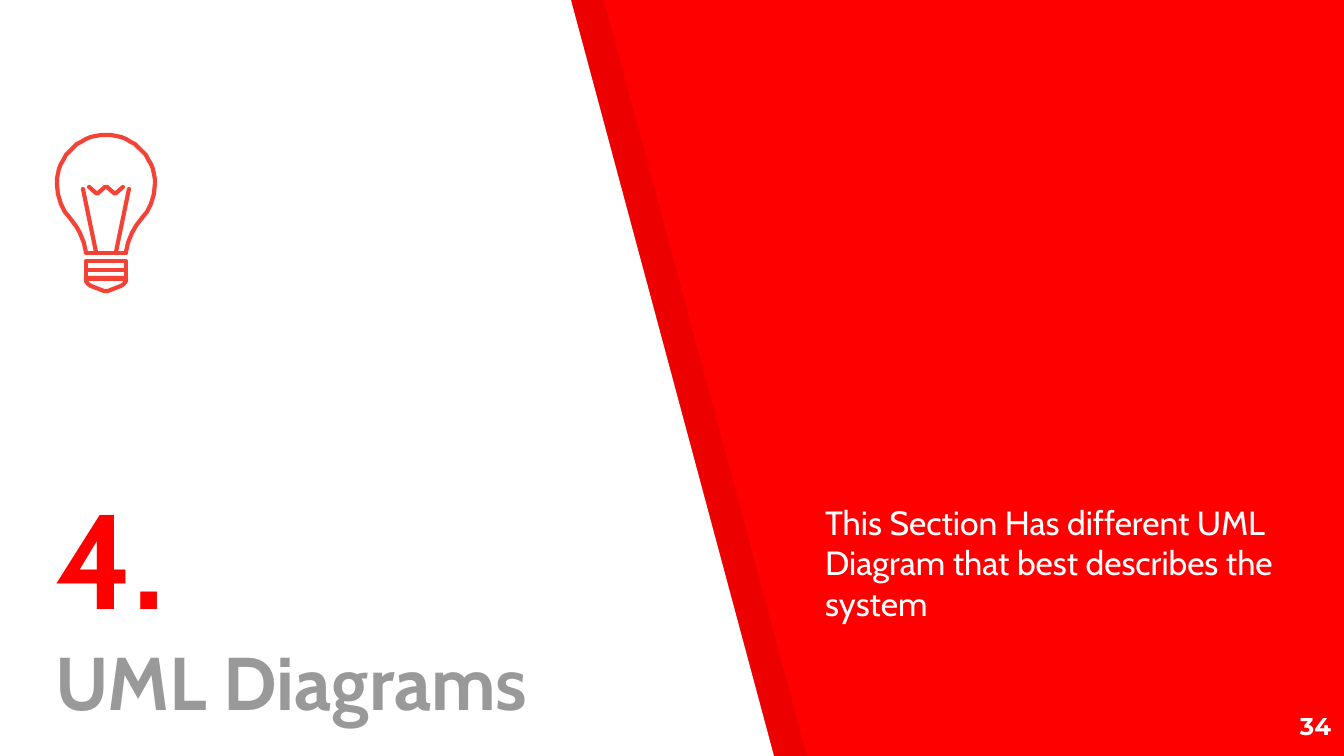
import math

import pptx
import pptx.dml.color
import pptx.enum.shapes
import pptx.enum.text
import pptx.oxml
import pptx.oxml.ns
import pptx.util

SLIDE_W, SLIDE_H = 1344, 756
EMU_PER_PX = 914400 * 10 / SLIDE_W
INSET = 13
RED, DEEP_ORANGE, GRAY, WHITE, BLACK = "FF0000", "F44336", "999999", "FFFFFF", "000000"
ALIGN = pptx.enum.text.PP_ALIGN
ANCHOR = pptx.enum.text.MSO_ANCHOR


def px(length):
    return pptx.util.Emu(round(length * EMU_PER_PX))


def color(hex_string):
    return pptx.dml.color.RGBColor.from_string(hex_string)


def outline(shapes, left, top, points, close=True):
    """Add an unfilled, shadowless freeform with points relative to left, top."""
    builder = shapes.build_freeform(*points[0], scale=EMU_PER_PX)
    builder.add_line_segments(points[1:], close=close)
    shape = builder.convert_to_shape(px(left), px(top))
    shape.shadow.inherit = False
    shape.fill.background()
    return shape


def rounded_stroke(shape):
    shape.line.color.rgb = color(DEEP_ORANGE)
    shape.line.width = pptx.util.Pt(2.25)
    ln = shape.element.spPr.find(pptx.oxml.ns.qn("a:ln"))
    ln.set("cap", "rnd")
    ln.append(pptx.oxml.parse_xml(f'<a:round {pptx.oxml.ns.nsdecls("a")}/>'))


def add_slanted_panels(slide, left, top, top_width, bottom_width, height):
    """White panel with a slanted right edge, over its shifted translucent shade."""
    corners = [(0, 0), (top_width, 0), (bottom_width, height), (0, height)]
    for depth, (shift, fill) in enumerate([(33, BLACK), (0, WHITE)]):
        panel = outline(slide.shapes, left + shift, top, corners)
        panel.fill.solid()
        panel.fill.fore_color.rgb = color(fill)
        panel.line.fill.background()
        if fill == BLACK:
            tint = panel.element.spPr.find(".//" + pptx.oxml.ns.qn("a:srgbClr"))
            tint.append(pptx.oxml.parse_xml(
                f'<a:alpha {pptx.oxml.ns.nsdecls("a")} val="7000"/>'))
        # Behind the placeholders, after the two property elements of the tree
        slide.shapes.element.insert(2 + depth, panel.element)


def add_light_bulb(slide, left, top, width):
    bulb = slide.shapes.add_group_shape().shapes
    radius = width // 2

    def mirrored(points):
        return [(width - x, y) for x, y in reversed(points)]

    neck = [(29, 117), (28, 113), (27, 108), (23, 98), (19, 91),
            (13, 83), (8, 77), (4, 69), (1, 59)]
    dome = [(round(radius - radius * math.cos(math.radians(a)), 2),
             round(radius - radius * math.sin(math.radians(a)), 2))
            for a in range(0, 181, 6)]
    tip = [(29, 143), (29, 146), (31, 149), (34, 151), (47, 156)]
    filament = [(32, 52), (40, 59), (48, 52)]
    bands = [[(29, y), (69, y), (69, y + 9), (29, y + 9)] for y in (126, 135)]

    for points in bands + [tip + mirrored(tip)]:
        rounded_stroke(outline(bulb, left, top, points))
    for points in (neck + dome + mirrored(neck), filament + mirrored(filament)):
        rounded_stroke(outline(bulb, left, top, points, close=False))

    support = [(26, 54), (39, 117)]
    collar = [(29, 118), (69, 118)]
    for start, end in (support, mirrored(support), collar):
        wire = bulb.add_connector(
            pptx.enum.shapes.MSO_CONNECTOR.STRAIGHT,
            px(left + start[0]), px(top + start[1]),
            px(left + end[0]), px(top + end[1]))
        rounded_stroke(wire)
        wire.element.spPr.append(pptx.oxml.parse_xml(
            f'<a:effectLst {pptx.oxml.ns.nsdecls("a")}/>'))


def write(shape, box, text, styles, align=ALIGN.LEFT, anchor=ANCHOR.TOP):
    """Place a text shape; styles give font, size, color and bold of each run."""
    shape.left, shape.top, shape.width, shape.height = map(px, box)
    frame = shape.text_frame
    frame.text = text
    frame.word_wrap = True
    frame.auto_size = pptx.enum.text.MSO_AUTO_SIZE.NONE
    frame.vertical_anchor = anchor
    frame.margin_left = frame.margin_right = px(INSET)
    frame.margin_top = frame.margin_bottom = px(INSET)
    paragraph = frame.paragraphs[0]
    paragraph.alignment = align
    paragraph.space_before = pptx.util.Pt(0)
    for run, (font, size, fill, bold) in zip(paragraph.runs, styles):
        run.font.name = font
        run.font.size = pptx.util.Pt(size)
        run.font.color.rgb = color(fill)
        run.font.bold = bold


def build_section_slide(deck):
    slide = deck.slides.add_slide(deck.slide_layouts[0])
    slide.background.fill.solid()
    slide.background.fill.fore_color.rgb = color(RED)
    add_slanted_panels(slide, 0, 0, 571, 774, SLIDE_H)

    write(slide.shapes.title, (42, 313, 544, 426), "4.\vUML Diagrams",
          [("Cabin", 72, RED, True), ("Cabin", 40, GRAY, True)],
          anchor=ANCHOR.BOTTOM)
    write(slide.placeholders[1], (812, 489, 532, 191),
          "This Section Has different UML Diagram that best describes the system",
          [("Cabin", 18, WHITE, False)])
    page_number = slide.shapes.add_textbox(0, 0, 0, 0)
    write(page_number, (1263, 698, 81, 58), "34",
          [("Montserrat", 13, WHITE, True)], align=ALIGN.RIGHT)

    add_light_bulb(slide, 57, 135, 98)


def main():
    deck = pptx.Presentation()
    deck.slide_width, deck.slide_height = px(SLIDE_W), px(SLIDE_H)
    build_section_slide(deck)
    deck.save("out.pptx")


if __name__ == "__main__":
    main()
